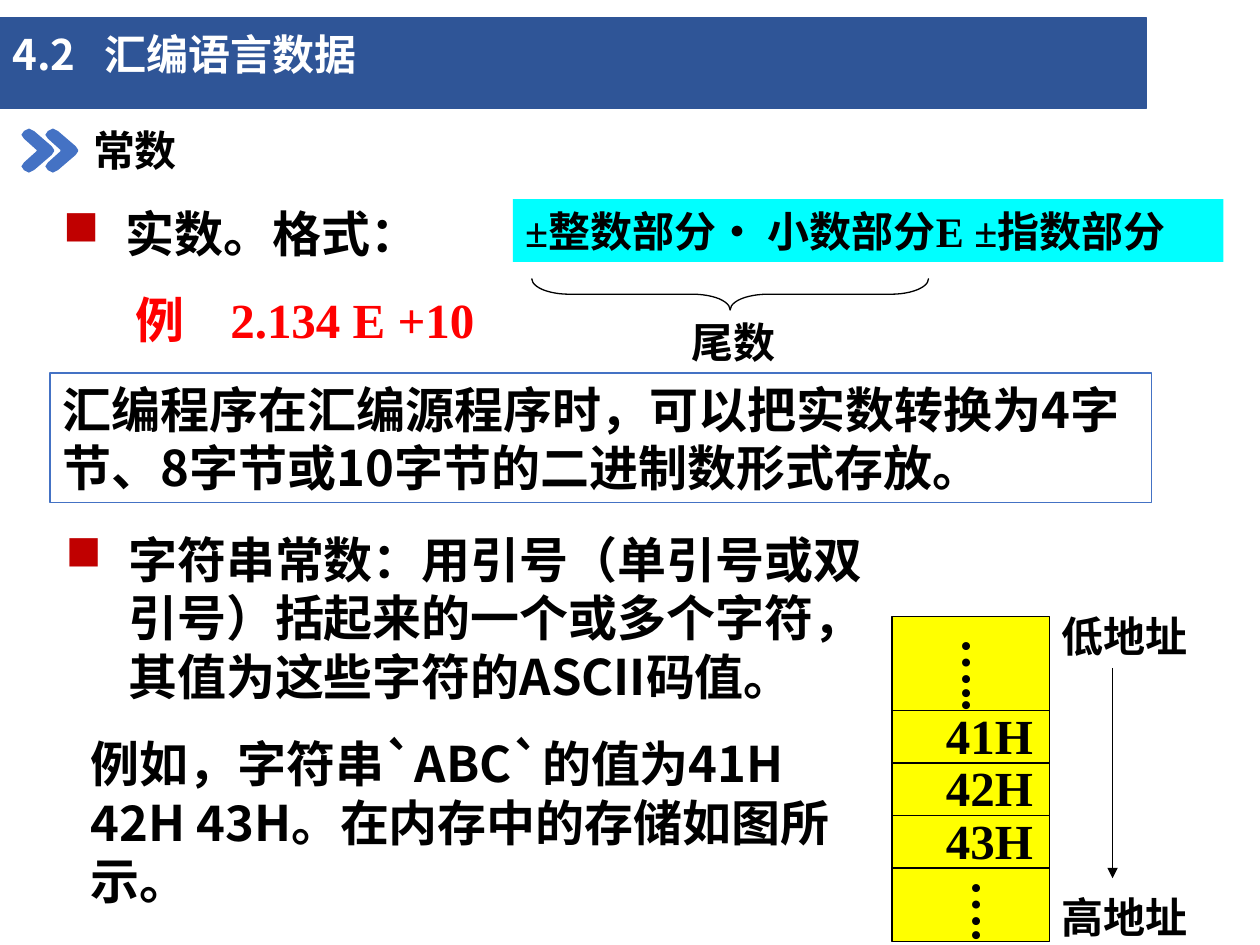
import pptx
import pptx.util
import pptx.dml.color
import pptx.enum.shapes
import pptx.enum.text
import pptx.oxml.ns
import lxml.etree

Inches = pptx.util.Inches
Pt = pptx.util.Pt
SHAPE = pptx.enum.shapes.MSO_SHAPE
qn = pptx.oxml.ns.qn

SANS = "Noto Sans CJK SC"
SERIF = "Times New Roman"
BLACK, WHITE, BLUE = "000000", "FFFFFF", "4472C4"


def paint(target, color):
    """Give a fill or a font colour a solid hex colour."""
    rgb = pptx.dml.color.RGBColor.from_string(color)
    if hasattr(target, "solid"):
        target.solid()
        target.fore_color.rgb = rgb
    else:
        target.rgb = rgb


def style(shape, fill=None, line=None, width=0.75):
    if fill:
        paint(shape.fill, fill)
    else:
        shape.fill.background()
    if line:
        paint(shape.line.fill, line)
        shape.line.width = Pt(width)
    else:
        shape.line.fill.background()


def add_shape(slide, kind, x, y, w, h, **look):
    shape = slide.shapes.add_shape(kind, Inches(x), Inches(y), Inches(w), Inches(h))
    shape.shadow.inherit = False
    style(shape, **look)
    return shape


def add_line(slide, x1, y1, x2, y2, arrow=False):
    line = slide.shapes.add_connector(
        pptx.enum.shapes.MSO_CONNECTOR.STRAIGHT,
        Inches(x1), Inches(y1), Inches(x2), Inches(y2))
    paint(line.line.fill, BLACK)
    line.line.width = Pt(0.75)
    if arrow:
        ln = line.line._get_or_add_ln()
        lxml.etree.SubElement(ln, qn("a:tailEnd"), type="triangle")
    lxml.etree.SubElement(line._element.spPr, qn("a:effectLst"))


def add_bullet(para):
    props = para._p.get_or_add_pPr()
    props.set("marL", str(Inches(0.5)))
    props.set("indent", str(-Inches(0.5)))
    tint = lxml.etree.SubElement(props, qn("a:buClr"))
    lxml.etree.SubElement(tint, qn("a:srgbClr"), val="C00000")
    lxml.etree.SubElement(props, qn("a:buChar"), char="■")


def add_tab(para, place):
    tabs = lxml.etree.SubElement(para._p.get_or_add_pPr(), qn("a:tabLst"))
    lxml.etree.SubElement(tabs, qn("a:tab"), pos=str(Inches(place)), algn="l")


def add_text(slide, text, x, y, w, h, size=28, face=SANS, color=BLACK,
             bullet=False, tab=None, wrap=True, upright=False, **look):
    box = slide.shapes.add_textbox(Inches(x), Inches(y), Inches(w), Inches(h))
    style(box, **look)
    frame = box.text_frame
    frame.word_wrap = wrap
    frame.auto_size = pptx.enum.text.MSO_AUTO_SIZE.SHAPE_TO_FIT_TEXT
    if upright:
        frame._txBody.bodyPr.set("vert", "eaVert")
    para = frame.paragraphs[0]
    if bullet:
        add_bullet(para)
    if tab:
        add_tab(para, tab)
    run = para.add_run()
    run.text = text
    run.font.size = Pt(size)
    run.font.bold = True
    run.font.name = face
    paint(run.font.color, color)
    lxml.etree.SubElement(run._r.get_or_add_rPr(), qn("a:ea"), typeface=SANS)


def add_title(slide, x, y, w, h):
    add_shape(slide, SHAPE.RECTANGLE, x, y, w, h, fill="2F5597", line="2F5597", width=1)
    add_text(slide, "4.2\t汇编语言数据", x, y + 0.04, w, 0.58,
             size=24, color=WHITE, tab=0.73)


def add_chevrons(slide, x, y):
    """Draw two round-ended chevrons as one outline."""
    height, step = 0.35, 0.19
    upper = [(0.12, 0.17), (0.02, 0.08), (0, 0.05), (0.02, 0.02), (0.06, 0),
             (0.1, 0.02), (0.24, 0.14), (0.26, 0.17)]
    lower = [(px, height - py) for px, py in reversed(upper)]
    pen = None
    for shift in (0, step):
        points = [(Inches(x + shift + px), Inches(y + py)) for px, py in upper + lower]
        if pen is None:
            pen = slide.shapes.build_freeform(*points[0])
        else:
            pen.move_to(*points[0])
        pen.add_line_segments(points[1:], close=True)
    mark = pen.convert_to_shape()
    mark.shadow.inherit = False
    style(mark, fill=BLUE)


def add_heading(slide, x, y, w, h):
    add_chevrons(slide, x, y + 0.08)
    add_text(slide, "常数", x + 0.47, y, w - 0.47, h, size=24)


def add_real(slide, x, y, w):
    add_text(slide, "实数。格式：", x, y, 3.15, 0.57, bullet=True)
    add_text(slide, "±整数部分• 小数部分E ±指数部分", x + 3.67, y + 0.01, w - 3.67, 0.5,
             size=24, face=SERIF, fill="00FFFF")
    brace = add_shape(slide, SHAPE.LEFT_BRACE, x + 5.27, y - 0.81, 0.25, 3.15, line=BLACK)
    brace.adjustments[0] = 1.19
    brace.rotation = 270
    add_text(slide, "尾数", x + 4.99, y + 0.89, 1.03, 0.51, size=24, face=SERIF)
    add_text(slide, "例\t2.134 E +10", x + 0.58, y + 0.68, 3.08, 0.57,
             face=SERIF, color="FF0000", tab=0.75, fill=WHITE)
    add_text(slide, "汇编程序在汇编源程序时，可以把实数转换为4字节、8字节或10字节的二进制数形式存放。",
             x, y + 1.39, 8.74, 1.03, fill=WHITE, line=BLUE, width=1)


def add_string(slide, x, y, w):
    add_text(slide, "字符串常数：用引号（单引号或双引号）括起来的一个或多个字符，其值为这些字符的ASCII码值。",
             x, y, w, 1.5, bullet=True, fill=WHITE)
    add_text(slide, "例如，字符串`ABC`的值为41H 42H 43H。在内存中的存储如图所示。",
             x + 0.2, y + 1.62, w - 0.23, 1.04)


def add_memory(slide, x, y, w, h):
    """Draw the column of bytes with its address scale."""
    first, row = y + 0.75, 1.25 / 3
    add_shape(slide, SHAPE.RECTANGLE, x, y, w, h, fill="FFFF00", line=BLACK)
    for i in range(4):
        add_line(slide, x, first + i * row, x + w, first + i * row)
    for i, byte in enumerate(("41H", "42H", "43H")):
        add_text(slide, byte, x + 0.33, first - 0.09 + i * row, 1, 0.57, face=SERIF)
    for dots, dx, dy in (("…..", 0.33, 0.08), ("….", 0.41, 2)):
        add_text(slide, dots, x + dx, y + dy, 0.67, 0.83, face=SERIF, upright=True)
    for label, dy in (("低地址", -0.09), ("高地址", 2.14)):
        add_text(slide, label, x + w, y + dy, 1.21, 0.5, size=24, face=SERIF, wrap=False)
    add_line(slide, x + w + 0.5, y + 0.41, x + w + 0.5, y + 2.08, arrow=True)


def main():
    deck = pptx.Presentation()
    deck.slide_width, deck.slide_height = Inches(10), Inches(7.5)
    slide = deck.slides.add_slide(deck.slide_layouts[6])
    add_title(slide, 0, 0.14, 9.1, 0.72)
    add_heading(slide, 0.17, 0.94, 8.6, 0.5)
    add_real(slide, 0.4, 1.57, 9.31)
    add_string(slide, 0.42, 4.15, 6.53)
    add_memory(slide, 7.08, 4.89, 1.25, 2.58)
    deck.save("out.pptx")


if __name__ == "__main__":
    main()
